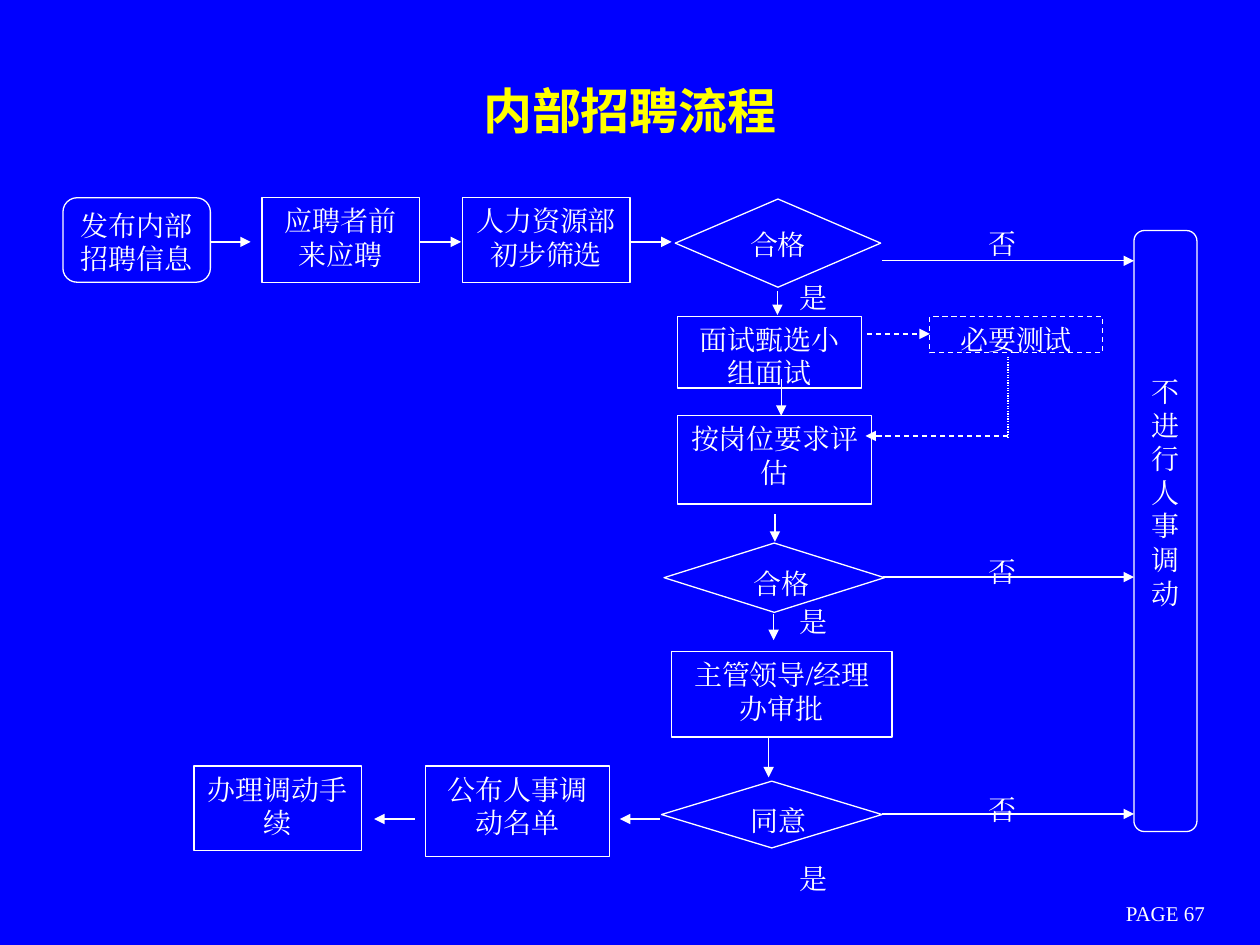
from lxml import etree
from pptx import Presentation, util as u
from pptx.dml.color import RGBColor
from pptx.enum import dml, shapes, text
from pptx.oxml.ns import qn

WHITE, YELLOW, BLUE = "FFFFFF", "FFFF00", "0000FF"
BODY, HEADING = "Times New Roman", "Noto Sans CJK SC"
RECT = shapes.MSO_SHAPE.RECTANGLE
ROUND = shapes.MSO_SHAPE.ROUNDED_RECTANGLE
DIAMOND = shapes.MSO_SHAPE.FLOWCHART_DECISION
DASH, DOT = dml.MSO_LINE.DASH, dml.MSO_LINE.ROUND_DOT
CENTER, LEFT = text.PP_ALIGN.CENTER, text.PP_ALIGN.LEFT
TOP, MIDDLE = text.MSO_ANCHOR.TOP, text.MSO_ANCHOR.MIDDLE

TOP_ROW, END_ROW, SPINE = 1.57, 6.08, 5.38
STOP_LEFT, NO_LEFT, YES_LEFT = 9, 7.75, 6.25

STEPS = [
    ("发布内部招聘信息", ROUND, 0.5, TOP_ROW, 1.17, 0.67),
    ("应聘者前来应聘", RECT, 2.08, TOP_ROW, 1.25, 0.67),
    ("人力资源部初步筛选", RECT, 3.67, TOP_ROW, 1.33, 0.67),
    ("合格", DIAMOND, 5.36, 1.58, 1.63, 0.7),
    ("面试甄选小组面试", RECT, SPINE, 2.51, 1.46, 0.57),
    ("必要测试", RECT, 7.38, 2.51, 1.37, 0.29),
    ("按岗位要求评估", RECT, SPINE, 3.3, 1.54, 0.7),
    ("合格", DIAMOND, 5.27, 4.31, 1.75, 0.55),
    ("主管领导/经理办审批", RECT, 5.33, 5.17, 1.75, 0.68),
    ("同意", DIAMOND, 5.25, 6.2, 1.75, 0.53),
    ("公布人事调动名单", RECT, 3.38, END_ROW, 1.46, 0.72),
    ("办理调动手续", RECT, 1.54, END_ROW, 1.33, 0.67),
    ("不进行人事调动", ROUND, STOP_LEFT, 1.83, 0.5, 4.77),
]
OPTIONAL_STEP, STOP_STEP = "必要测试", "不进行人事调动"
LEFT_INSETS = {7: 0.21, 9: 0.21}
STOP_TOP_INSET = 1.12

ANSWERS = [("否", NO_LEFT, top) for top in (1.75, 4.35, 6.24)]
ANSWERS += [("是", YES_LEFT, top) for top in (2.18, 4.75, 6.79)]

ACROSS = [(1.67, 1.99, 1.92), (3.33, 3.66, 1.92), (5.01, 5.33, 1.92),
          (7, STOP_LEFT, 2.07), (7.01, STOP_LEFT, 4.58), (7, STOP_LEFT, 6.46),
          (5.24, 4.92, 6.5), (3.29, 2.97, 6.5)]
DOWN = [(6.17, 2.31, 2.5), (6.2, 3.01, 3.3), (6.15, 4.08, 4.3),
        (6.14, 4.87, 5.08), (6.1, 5.84, 6.17)]


def color(value):
    return RGBColor.from_string(value)


def style_line(line, dash=None):
    line.color.rgb = color(WHITE)
    line.width = u.Pt(0.75)
    if dash:
        line.dash_style = dash


def write(box, words, size=16, font=BODY, fill=WHITE, bold=False,
          align=CENTER, anchor=TOP):
    frame = box.text_frame
    frame.text = words
    frame.word_wrap = True
    frame.vertical_anchor = anchor
    para = frame.paragraphs[0]
    para.alignment = align
    span = para.runs[0]
    span.font.size, span.font.name, span.font.bold = u.Pt(size), font, bold
    span.font.color.rgb = color(fill)
    east = etree.SubElement(span.font._element, qn("a:ea"))
    east.set("typeface", font)


def add_text(page, words, area, **style):
    box = page.shapes.add_textbox(*map(u.Inches, area))
    write(box, words, **style)


def add_step(page, index, step):
    words, kind, *area = step
    box = page.shapes.add_shape(kind, *map(u.Inches, area))
    box.shadow.inherit = False
    box.fill.background()
    style_line(box.line, DASH if words == OPTIONAL_STEP else None)
    write(box, words)
    box.text_frame.margin_left = u.Inches(LEFT_INSETS.get(index, 0.1))
    if words == STOP_STEP:
        box.text_frame.margin_top = u.Inches(STOP_TOP_INSET)


def add_line(page, start, end, dash=None, arrow=True):
    line = page.shapes.add_connector(
        shapes.MSO_CONNECTOR.STRAIGHT, *map(u.Inches, (*start, *end)))
    style_line(line.line, dash)
    if arrow:
        tip = etree.SubElement(line.line._get_or_add_ln(), qn("a:tailEnd"))
        tip.set("type", "triangle")
    etree.SubElement(line._element.spPr, qn("a:effectLst"))


def main():
    deck = Presentation()
    deck.slide_width, deck.slide_height = u.Inches(10), u.Inches(7.5)
    page = deck.slides.add_slide(deck.slide_layouts[6])
    page.background.fill.solid()
    page.background.fill.fore_color.rgb = color(BLUE)

    add_text(page, "内部招聘流程", (0.75, 0.25, 8.5, 1.25), size=28,
             font=HEADING, fill=YELLOW, bold=True, anchor=MIDDLE)
    for index, step in enumerate(STEPS):
        add_step(page, index, step)
    for words, left, top in ANSWERS:
        add_text(page, words, (left, top, 0.5, 0.29), align=LEFT)
    for start, end, y in ACROSS:
        add_line(page, (start, y), (end, y))
    for x, start, end in DOWN:
        add_line(page, (x, start), (x, end))
    add_line(page, (6.88, 2.65), (7.38, 2.65), DASH)
    add_line(page, (8, 2.83), (8, 3.48), DOT, arrow=False)
    add_line(page, (8, 3.46), (6.87, 3.46), DASH)
    add_text(page, "PAGE 67", (8.5, 7.12, 1.5, 0.25), size=12, anchor=MIDDLE)
    deck.save("out.pptx")


if __name__ == "__main__":
    main()
